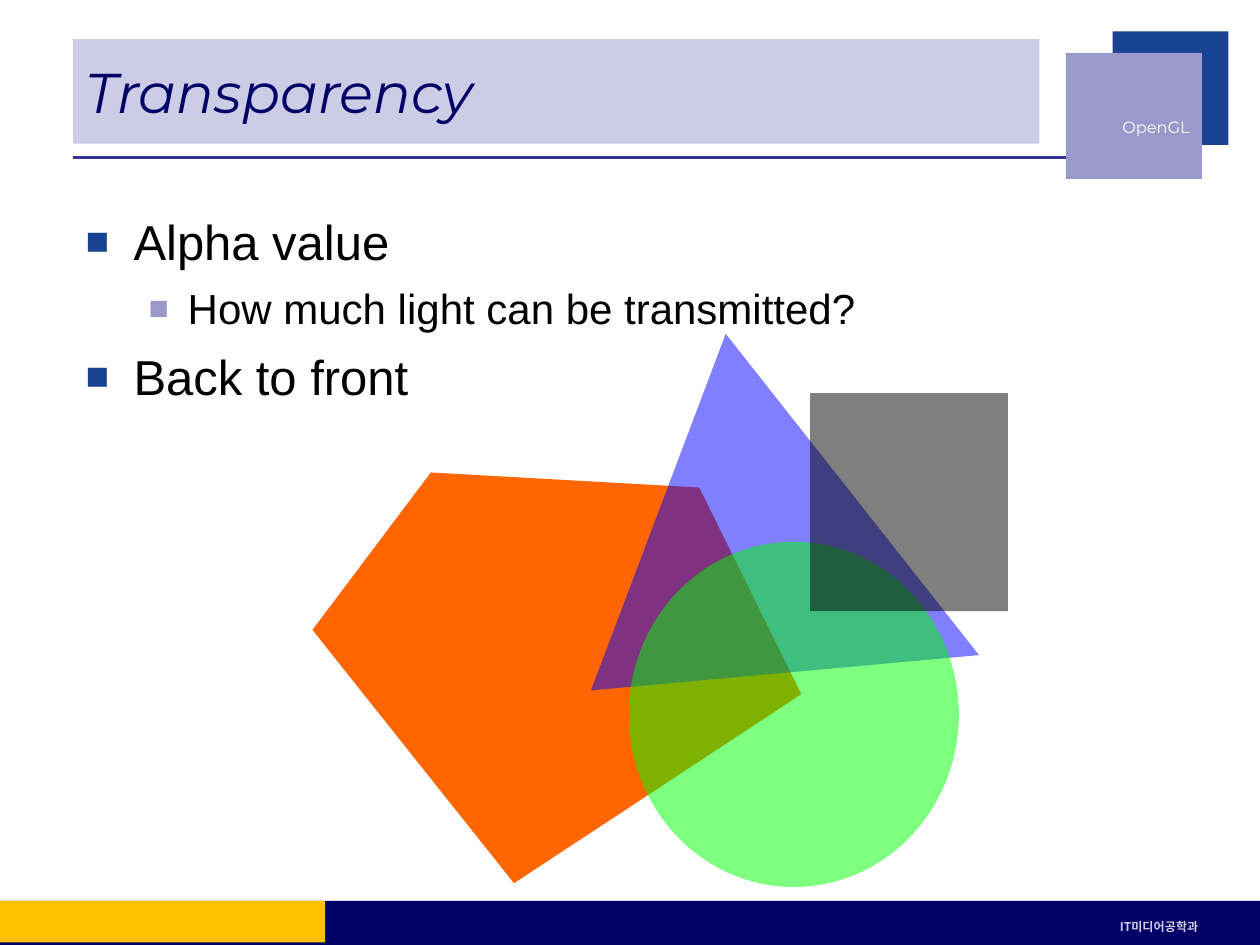
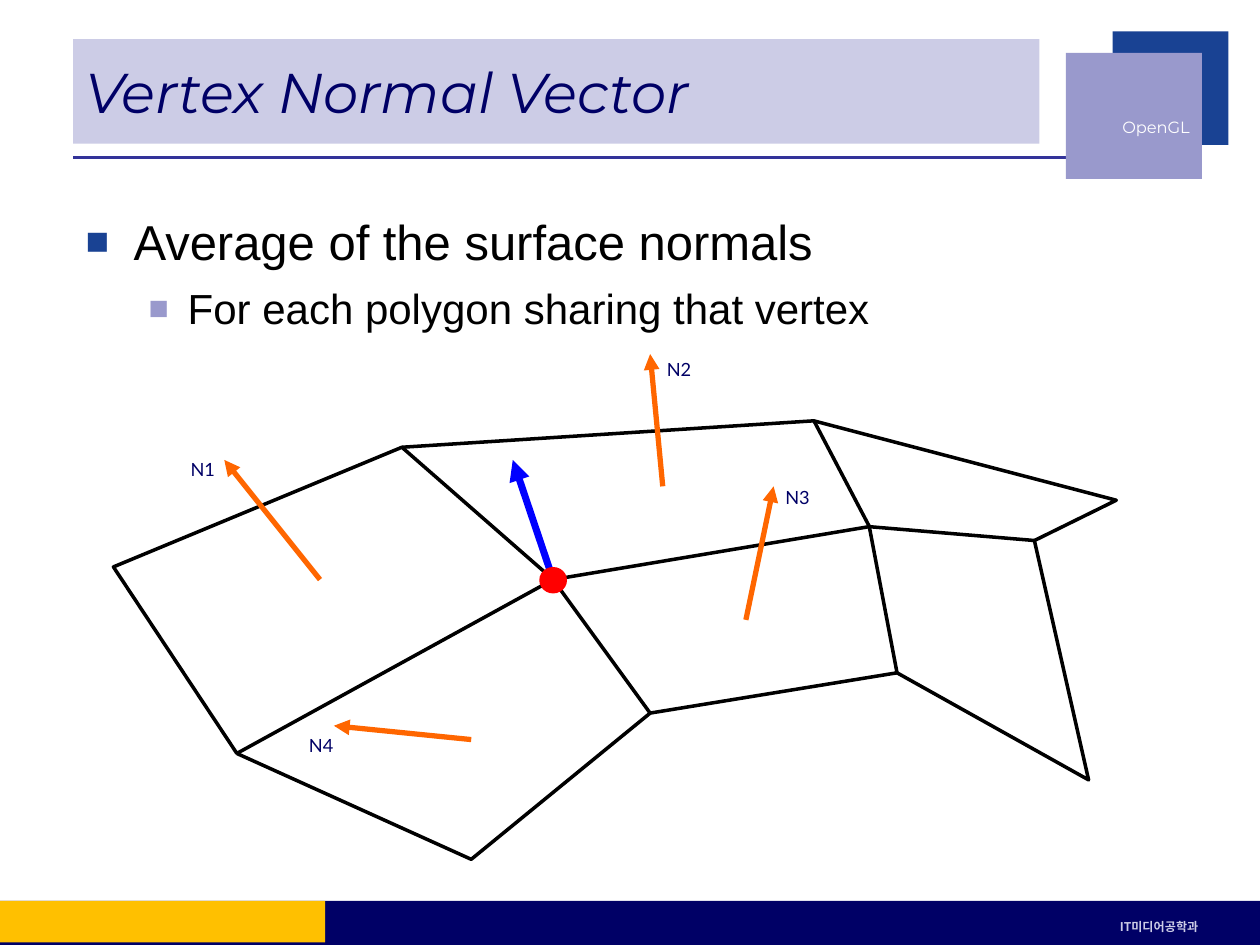
from dataclasses import dataclass
from typing import NamedTuple

from lxml import etree
from pptx import Presentation, util as u
from pptx.dml.color import RGBColor
from pptx.enum import shapes as es, text as et
from pptx.oxml.ns import qn


@dataclass(frozen=True)
class Theme:
    navy: str = "000066"
    blue: str = "194293"
    lilac: str = "9999CC"
    pale: str = "CCCCE6"
    rule: str = "333399"
    gold: str = "FFC000"
    white: str = "FFFFFF"
    black: str = "000000"
    orange: str = "FF6600"
    pure: str = "0000FF"
    green: str = "00FF00"
    red: str = "FF0000"
    head: str = "Montserrat"
    body: str = "Arial"
    label: str = "Lato"
    hangul: str = "Noto Sans CJK KR"
    title: int = 32
    tag: int = 16
    note: int = 18
    foot: int = 12


T = Theme()


class Box(NamedTuple):
    x: float
    y: float
    w: float
    h: float

    def size(self) -> list:
        return [u.Inches(v) for v in self]


class Level(NamedTuple):
    size: int
    left: float
    hang: float
    mark: str


class Item(NamedTuple):
    words: str
    level: int = 0


class Arrow(NamedTuple):
    start: tuple
    end: tuple
    color: str = T.orange
    width: float = 3


class Label(NamedTuple):
    digit: str
    x: float
    y: float


LEVELS = (Level(28, 0.38, 0.38, T.blue), Level(24, 0.81, 0.31, T.lilac))
GAP = 0.28
RECT = es.MSO_SHAPE.RECTANGLE
OVAL = es.MSO_SHAPE.OVAL


def rgb(code: str) -> RGBColor:
    return RGBColor.from_string(code)


def write(para, words: str, *, size: float, face: str, color: str,
          bold: bool = False, italic: bool = False, sub: bool = False) -> None:
    run = para.add_run()
    run.text = words
    font = run.font
    font.size, font.name = u.Pt(size), face
    font.bold, font.italic = bold, italic
    font.color.rgb = rgb(color)
    props = run._r.get_or_add_rPr()
    props.find(qn("a:latin")).addnext(
        etree.Element(qn("a:ea"), typeface=face))
    if sub:
        props.set("baseline", "-25000")


def paint(shape, color: str, alpha: int = 100) -> None:
    shape.shadow.inherit = False
    shape.fill.solid()
    shape.fill.fore_color.rgb = rgb(color)
    shape.line.fill.background()
    if alpha < 100:
        tone = shape._element.spPr.find(qn("a:solidFill"))[0]
        etree.SubElement(tone, qn("a:alpha"), val=str(alpha * 1000))


def block(slide, box: Box, color: str, kind=RECT, alpha: int = 100):
    shape = slide.shapes.add_shape(kind, *box.size())
    paint(shape, color, alpha)
    return shape


def trace(slide, points: list, close: bool = False):
    spots = [(u.Inches(x), u.Inches(y)) for x, y in points]
    pen = slide.shapes.build_freeform(*spots[0])
    pen.add_line_segments(spots[1:], close=close)
    return pen.convert_to_shape()


def line(slide, start: tuple, end: tuple, color: str, width: float,
         tip: bool = False) -> None:
    link = slide.shapes.add_connector(
        es.MSO_CONNECTOR.STRAIGHT, *(u.Inches(v) for v in (*start, *end)))
    link.line.color.rgb = rgb(color)
    link.line.width = u.Pt(width)
    props = link._element.spPr
    if tip:
        etree.SubElement(props.find(qn("a:ln")), qn("a:tailEnd"),
                         type="triangle")
    etree.SubElement(props, qn("a:effectLst"))


def caption(slide, box: Box, words: str, align, **form) -> None:
    frame = slide.shapes.add_textbox(*box.size()).text_frame
    frame.word_wrap = False
    frame.vertical_anchor = et.MSO_ANCHOR.MIDDLE
    para = frame.paragraphs[0]
    para.alignment = align
    write(para, words, sub=True, **form)


def bullet(para, level: Level) -> None:
    props = para._p.get_or_add_pPr()
    props.set("marL", str(u.Inches(level.left)))
    props.set("indent", str(-u.Inches(level.hang)))
    tone = etree.SubElement(props, qn("a:buClr"))
    etree.SubElement(tone, qn("a:srgbClr"), val=level.mark)
    etree.SubElement(props, qn("a:buSzPct"), val="80000")
    etree.SubElement(props, qn("a:buFont"), typeface=T.body)
    etree.SubElement(props, qn("a:buChar"), char="■")


def place(shape, box: Box) -> None:
    shape.left, shape.top, shape.width, shape.height = box.size()
    shape.text_frame.auto_size = et.MSO_AUTO_SIZE.NONE
    shape.text_frame.word_wrap = True


def frame(slide) -> None:
    line(slide, (0.58, 1.25), (8.5, 1.25), T.rule, 2.25)
    block(slide, Box(8.83, 0.25, 0.92, 0.9), T.blue)
    block(slide, Box(8.46, 0.42, 1.08, 1), T.lilac)
    caption(slide, Box(8.42, 0.6, 1.12, 0.67), "OpenGL", et.PP_ALIGN.RIGHT,
            size=T.tag, face=T.head, color=T.white)
    block(slide, Box(0, 7.15, 10, 0.35), T.navy)
    caption(slide, Box(8.41, 7.18, 1.58, 0.24), "IT미디어공학과",
            et.PP_ALIGN.CENTER, size=T.foot, face=T.hangul, color=T.pale,
            bold=True)
    block(slide, Box(0, 7.15, 2.58, 0.33), T.gold)


def start(deck, title: str, items: list):
    slide = deck.slides.add_slide(deck.slide_layouts[1])
    frame(slide)
    head, body = slide.placeholders
    place(head, Box(0.58, 0.31, 7.67, 0.83))
    head.fill.solid()
    head.fill.fore_color.rgb = rgb(T.pale)
    head.text_frame.vertical_anchor = et.MSO_ANCHOR.MIDDLE
    para = head.text_frame.paragraphs[0]
    para.alignment = et.PP_ALIGN.LEFT
    write(para, title, size=T.title, face=T.head, color=T.navy, italic=True)

    place(body, Box(0.58, 1.58, 8.92, 5.17))
    text = body.text_frame
    text.margin_top = u.Inches(0.1)
    for i, item in enumerate(items):
        para = text.add_paragraph() if i else text.paragraphs[0]
        level = LEVELS[item.level]
        para.level = item.level
        bullet(para, level)
        para.space_before = u.Pt(round(GAP * level.size, 1) if i else 0)
        write(para, item.words, size=level.size, face=T.body, color=T.black)
    return slide


def blend(deck) -> None:
    slide = start(deck, "Transparency", [
        Item("Alpha value"),
        Item("How much light can be transmitted?", 1),
        Item("Back to front")])
    penta = [(3.42, 3.75), (5.55, 3.87), (6.36, 5.51), (4.08, 7.01), (2.48, 5)]
    wedge = [(5.76, 2.65), (4.69, 5.48), (7.77, 5.2)]
    paint(trace(slide, penta, close=True), T.orange)
    paint(trace(slide, wedge, close=True), T.pure, 50)
    block(slide, Box(4.99, 4.3, 2.62, 2.74), T.green, OVAL, 50)
    block(slide, Box(6.43, 3.12, 1.57, 1.73), T.black, alpha=50)


def normal(deck) -> None:
    slide = start(deck, "Vertex Normal Vector", [
        Item("Average of the surface normals"),
        Item("For each polygon sharing that vertex", 1)])
    mesh = dict(a=(0.9, 4.5), b=(3.19, 3.55), c=(4.39, 4.6), d=(1.88, 5.98),
                e=(6.46, 3.34), f=(6.9, 4.18), g=(5.16, 5.66), h=(3.74, 6.82),
                i=(7.12, 5.34), j=(8.64, 6.19), k=(8.21, 4.29), l=(8.86, 3.97))
    for route in ("abcda", "befc", "cghd", "gif", "ijkf", "elk"):
        loop = route[0] == route[-1]
        edge = trace(slide, [mesh[v] for v in route.rstrip("a")], close=loop)
        edge.shadow.inherit = False
        edge.fill.background()
        edge.line.color.rgb = rgb(T.black)
        edge.line.width = u.Pt(2)

    for ray in (Arrow((5.26, 3.86), (5.16, 2.81)),
                Arrow((2.54, 4.6), (1.78, 3.65)),
                Arrow((3.74, 5.87), (2.65, 5.76)),
                Arrow((5.92, 4.92), (6.14, 3.86)),
                Arrow(mesh["c"], (4.07, 3.65), T.pure, 4)):
        line(slide, ray.start, ray.end, ray.color, ray.width, tip=True)
    block(slide, Box(4.28, 4.5, 0.22, 0.21), T.red, OVAL)

    for tag in (Label("2", 5.16, 2.65), Label("3", 6.1, 3.66),
                Label("4", 2.32, 5.63), Label("1", 1.38, 3.44)):
        caption(slide, Box(tag.x, tag.y, 0.46, 0.4), "N" + tag.digit,
                et.PP_ALIGN.CENTER, size=T.note, face=T.label, color=T.navy)


def main() -> None:
    deck = Presentation()
    deck.slide_width, deck.slide_height = u.Inches(10), u.Inches(7.5)
    blend(deck)
    normal(deck)
    deck.save("out.pptx")


if __name__ == "__main__":
    main()
